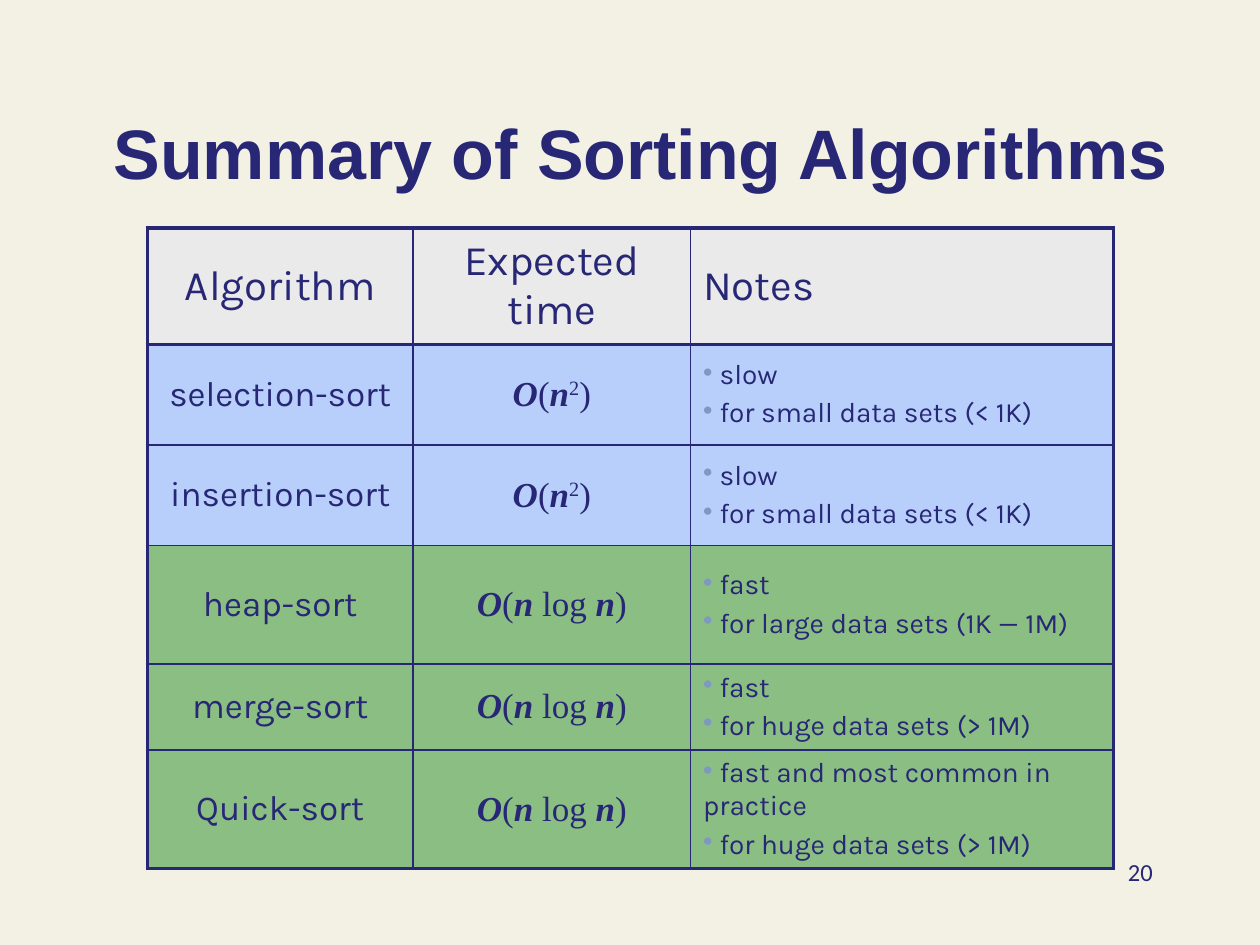
from dataclasses import dataclass

from lxml import etree
from pptx import Presentation
from pptx.dml.color import RGBColor
from pptx.enum import text as t
from pptx.oxml import ns
from pptx.util import Cm, Pt


@dataclass(frozen=True)
class Theme:
    paper: str = "F3F1E4"
    ink: str = "272776"
    header: str = "EAEAEA"
    slow: str = "B8CFFB"
    fast: str = "8BBE82"
    bullet: str = "7F97C2"
    title_font: str = "Arial"
    body_font: str = "Karla"
    math_font: str = "Times New Roman"
    number_font: str = "Calibri"
    title_size: float = 40
    header_size: float = 24
    body_size: float = 20
    note_size: float = 16
    number_size: float = 14
    outer_line: float = 2.25
    inner_line: float = 1


THEME = Theme()
CENTER, LEFT, RIGHT = t.PP_ALIGN.CENTER, t.PP_ALIGN.LEFT, t.PP_ALIGN.RIGHT

COLUMN_WIDTHS = (5.36, 5.59, 8.53)
ROW_HEIGHTS = (2.34, 2.03, 2.03, 2.39, 1.73, 2.39)
HEADERS = (("Algorithm", CENTER), ("Expected time", CENTER), ("Notes", LEFT))

# Each formula is a list of (text, style) pieces.
QUADRATIC = (("O", "var"), ("(", ""), ("n", "var"), ("2", "sup"), (")", ""))
LINEARITHMIC = (("O", "var"), ("(", ""), ("n", "var"), (" log ", ""),
                ("n", "var"), (")", ""))

ALGORITHMS = (
    ("selection-sort", QUADRATIC, ("slow", "for small data sets (< 1K)"), THEME.slow),
    ("insertion-sort", QUADRATIC, ("slow", "for small data sets (< 1K)"), THEME.slow),
    ("heap-sort", LINEARITHMIC, ("fast", "for large data sets (1K — 1M)"), THEME.fast),
    ("merge-sort", LINEARITHMIC, ("fast", "for huge data sets (> 1M)"), THEME.fast),
    ("Quick-sort", LINEARITHMIC,
     ("fast and most common in practice", "for huge data sets (> 1M)"), THEME.fast),
)


def add_text(p, text, *, size, font=THEME.body_font, color=THEME.ink,
             bold=False, italic=False, superscript=False, align=None):
    if align is not None:
        p.alignment = align
    r = p.add_run()
    r.text = text
    f = r.font
    f.size, f.name, f.bold, f.italic = Pt(size), font, bold, italic
    f.color.rgb = RGBColor.from_string(color)
    if superscript:
        r._r.get_or_add_rPr().set("baseline", "30000")


def add_formula(p, pieces):
    for text, style in pieces:
        variable = style == "var"
        add_text(p, text, size=THEME.body_size, font=THEME.math_font, align=CENTER,
                 bold=variable, italic=variable, superscript=style == "sup")


def set_bullet(p):
    pPr = p._p.get_or_add_pPr()
    pPr.set("marL", "0")
    pPr.set("indent", str(-Cm(0.3)))
    color = etree.SubElement(pPr, ns.qn("a:buClr"))
    etree.SubElement(color, ns.qn("a:srgbClr"), val=THEME.bullet)
    etree.SubElement(pPr, ns.qn("a:buChar"), char="•")


def add_notes(tf, notes):
    for i, note in enumerate(notes):
        p = tf.add_paragraph() if i else tf.paragraphs[0]
        if i:
            p.space_before = Pt(3.2)
        set_bullet(p)
        add_text(p, " " + note, size=THEME.note_size)


def set_borders(cell, widths):
    """Draw the left, right, top and bottom lines, in that order."""
    tcPr = cell._tc.get_or_add_tcPr()
    for i, (side, width) in enumerate(zip("LRTB", widths)):
        ln = etree.Element(ns.qn(f"a:ln{side}"), w=str(Pt(width)))
        fill = etree.SubElement(ln, ns.qn("a:solidFill"))
        etree.SubElement(fill, ns.qn("a:srgbClr"), val=THEME.ink)
        tcPr.insert(i, ln)


def format_cells(table, fills):
    """Fill each row; thick lines go round the table and under its header."""
    last_row, last_col = len(table.rows) - 1, len(table.columns) - 1
    for row, fill in enumerate(fills):
        for col in range(last_col + 1):
            cell = table.cell(row, col)
            cell.vertical_anchor = t.MSO_ANCHOR.MIDDLE
            cell.fill.solid()
            cell.fill.fore_color.rgb = RGBColor.from_string(fill)
            thick = (col == 0, col == last_col, row <= 1, row in (0, last_row))
            set_borders(cell, [THEME.outer_line if side else THEME.inner_line
                               for side in thick])


def place_title(slide, left, top, width, height):
    title = slide.shapes.title
    title.left, title.top, title.width, title.height = map(
        Cm, (left, top, width, height))
    tf = title.text_frame
    tf.vertical_anchor = t.MSO_ANCHOR.BOTTOM
    add_text(tf.paragraphs[0], "Summary of Sorting Algorithms", bold=True,
             size=THEME.title_size, font=THEME.title_font, align=CENTER)


def add_algorithm_table(slide, left, top):
    frame = slide.shapes.add_table(
        len(ROW_HEIGHTS), len(COLUMN_WIDTHS), Cm(left), Cm(top),
        Cm(sum(COLUMN_WIDTHS)), Cm(sum(ROW_HEIGHTS)))
    table = frame.table
    table.first_row = table.horz_banding = False
    for column, width in zip(table.columns, COLUMN_WIDTHS):
        column.width = Cm(width)
    for row, height in zip(table.rows, ROW_HEIGHTS):
        row.height = Cm(height)

    for col, (header, align) in enumerate(HEADERS):
        add_text(table.cell(0, col).text_frame.paragraphs[0], header,
                 size=THEME.header_size, align=align)
    for row, (name, formula, notes, _) in enumerate(ALGORITHMS, start=1):
        name_tf, time_tf, notes_tf = (table.cell(row, c).text_frame for c in range(3))
        add_text(name_tf.paragraphs[0], name, size=THEME.body_size, align=CENTER)
        add_formula(time_tf.paragraphs[0], formula)
        add_notes(notes_tf, notes)
    format_cells(table, [THEME.header] + [fill for *_, fill in ALGORITHMS])


def add_slide_number(slide, left, top, width, height):
    box = slide.shapes.add_textbox(*map(Cm, (left, top, width, height)))
    tf = box.text_frame
    tf.word_wrap = True
    add_text(tf.paragraphs[0], "20", size=THEME.number_size,
             font=THEME.number_font, align=RIGHT)


def main():
    prs = Presentation()
    prs.slide_width, prs.slide_height = Cm(25.4), Cm(19.05)
    slide = prs.slides.add_slide(prs.slide_layouts.get_by_name("Title Only"))
    background = slide.background.fill
    background.solid()
    background.fore_color.rgb = RGBColor.from_string(THEME.paper)
    place_title(slide, 1.7, 0.84, 22.43, 3.18)
    add_algorithm_table(slide, 2.97, 4.6)
    add_slide_number(slide, 18.21, 17.15, 5.28, 1.27)
    prs.save("out.pptx")


if __name__ == "__main__":
    main()
